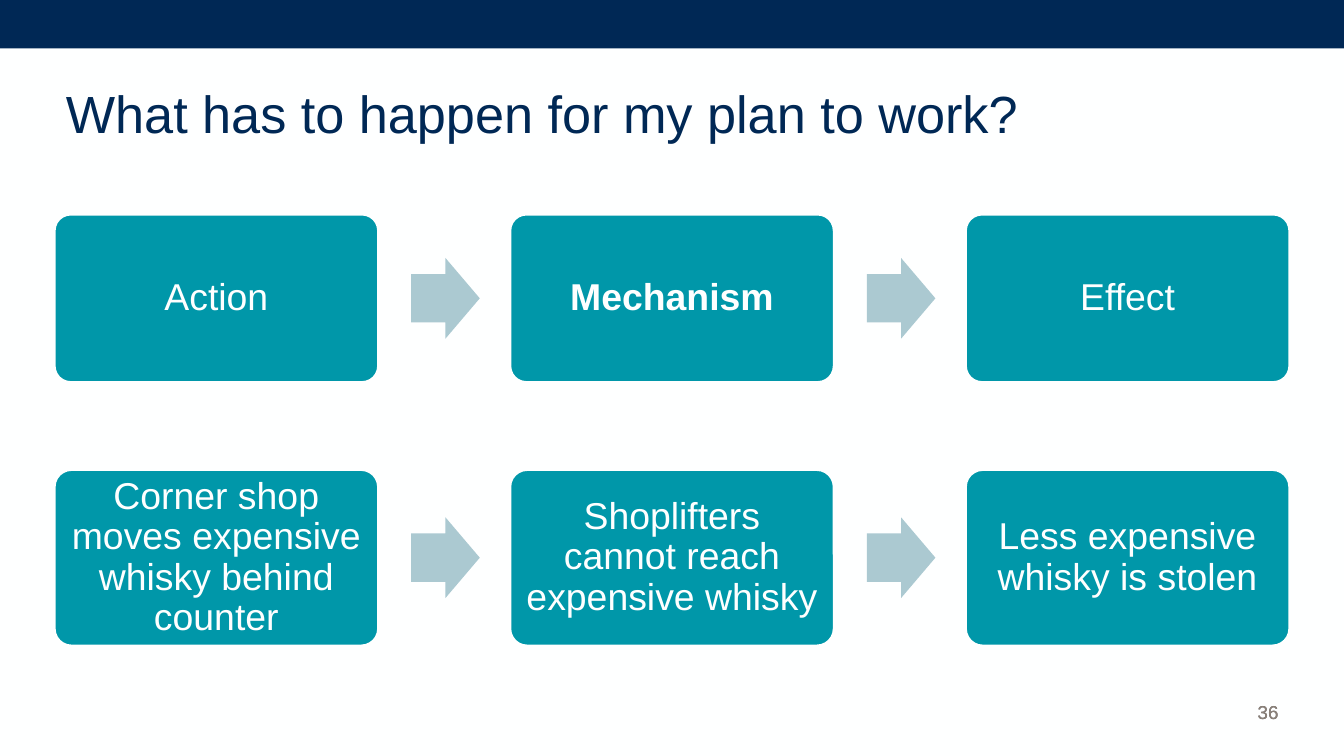
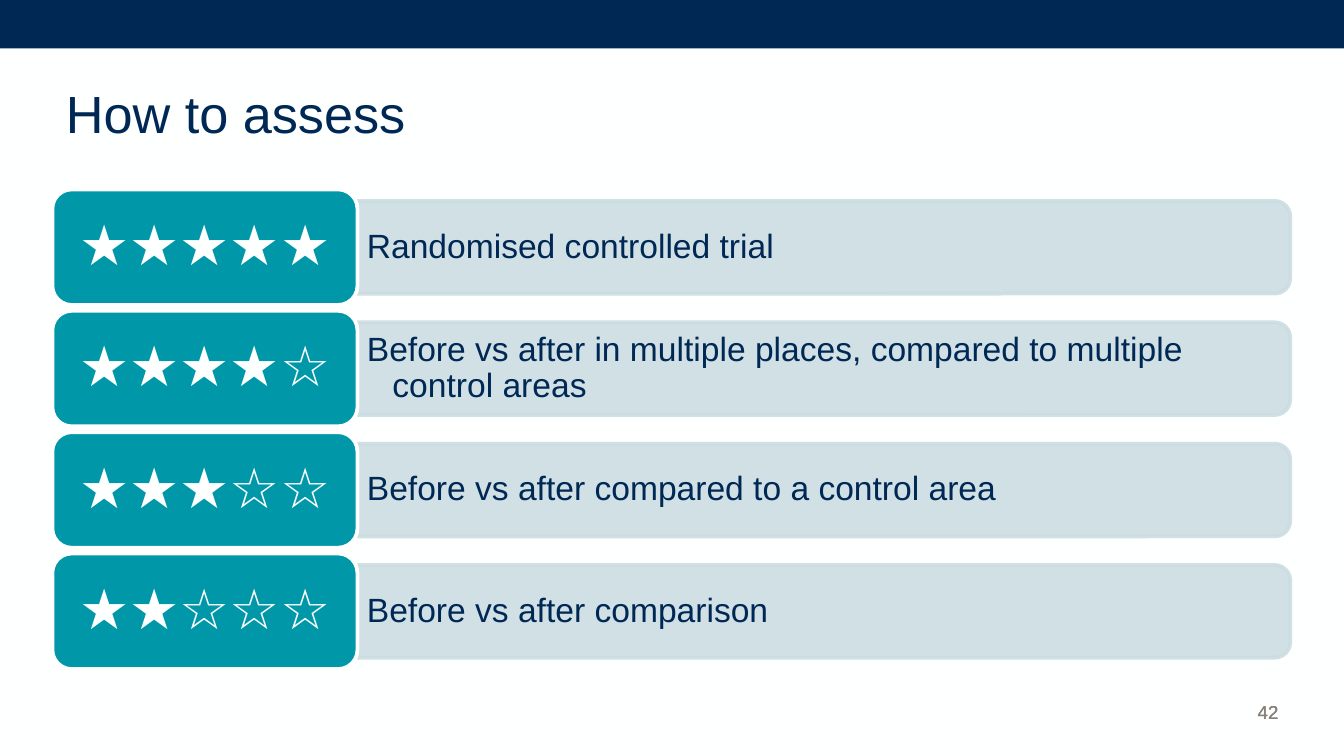
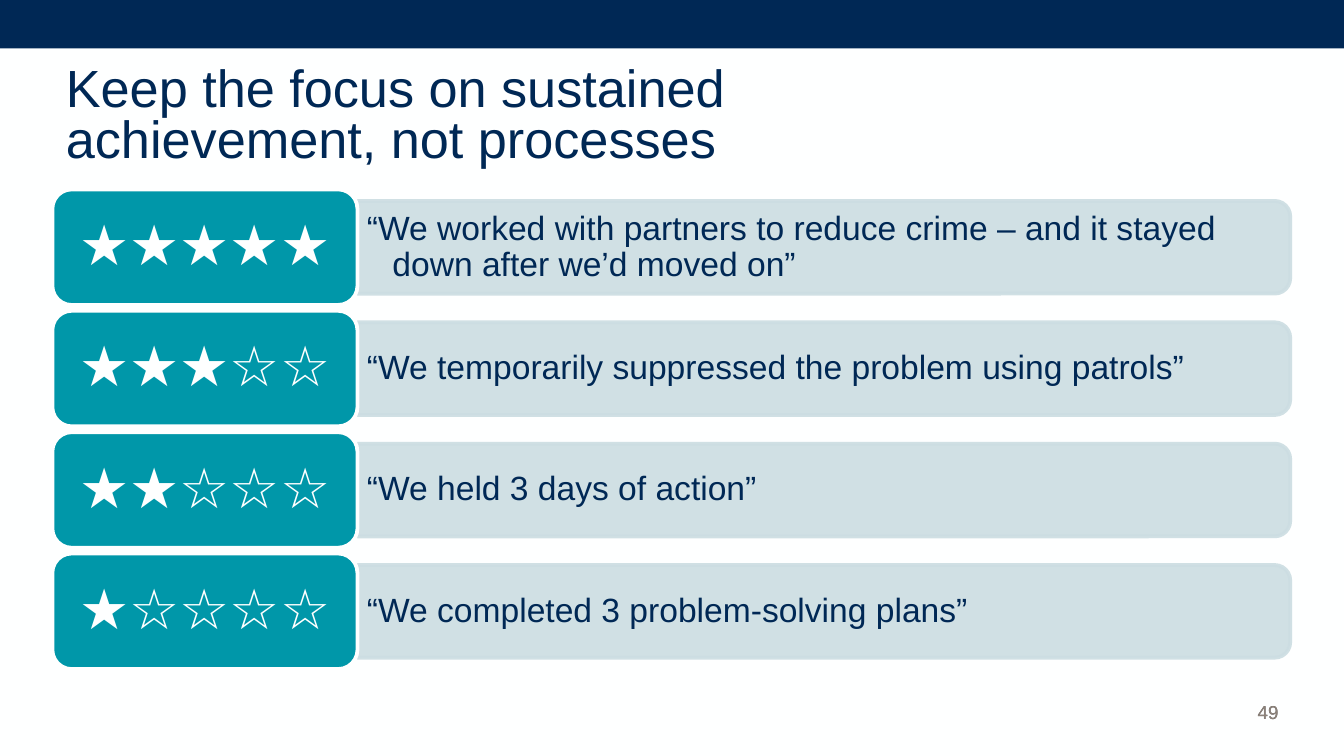
from lxml import etree
from pptx import Presentation
from pptx.dml.color import RGBColor
from pptx.enum import shapes, text
from pptx.oxml import ns
from pptx.util import Inches, Pt

FONT = "Arial"
NAVY, TEAL, WHITE = "002855", "0097A9", "FEFFFF"
ARROW, BAR = "ABC9D1", "CCDDE2"
NUMBER_INKS = ("4F4B51", "8C8279")
MARGIN = 0.4
STEP_WIDTH, STEP_PITCH = 2.42, 3.39
ARROW_GAP, ARROW_WIDTH, ARROW_HEIGHT = 0.24, 0.51, 0.6
RATING_LEFT, RATING_TOP, RATING_WIDTH, RATING_HEIGHT = 0.39, 1.41, 2.27, 0.86
RATING_PITCH = RATING_HEIGHT * 1.05
BAR_WIDTH, BAR_HEIGHT = 6.94, 0.69
STARS = 5


def color(value):
    """Turn a hex string into a colour."""
    return RGBColor.from_string(value)


def place(box, left, top, width, height):
    """Move and size a box, in inches."""
    box.left, box.top = Inches(left), Inches(top)
    box.width, box.height = Inches(width), Inches(height)


def write(box, words, size, ink, align=text.PP_ALIGN.LEFT, anchor=text.MSO_ANCHOR.MIDDLE,
          inset=(0.1, 0.05), spacing=0.9, bold=False):
    """Fill a box with one formatted paragraph."""
    frame = box.text_frame
    frame.text = words
    frame.word_wrap = True
    frame.auto_size = text.MSO_AUTO_SIZE.NONE
    frame.vertical_anchor = anchor
    frame.margin_left = frame.margin_right = Inches(inset[0])
    frame.margin_top = frame.margin_bottom = Inches(inset[1])
    para = frame.paragraphs[0]
    para.alignment = align
    para.line_spacing = spacing
    for span in para.runs:
        span.font.name, span.font.size, span.font.bold = FONT, Pt(size), bold
        span.font.color.rgb = color(ink)
    return para


def add_shape(page, kind, left, top, width, height, fill, line=None):
    """Draw a flat preset shape with an optional 2 pt outline."""
    shape = page.shapes.add_shape(kind, 0, 0, 0, 0)
    place(shape, left, top, width, height)
    shape.shadow.inherit = False
    shape.fill.solid()
    shape.fill.fore_color.rgb = color(fill)
    if line:
        shape.line.color.rgb = color(line)
        shape.line.width = Pt(2)
    else:
        shape.line.fill.background()
    return shape


def add_text(page, left, top, width, height, words, size, ink, **style):
    """Add a text box and return its paragraph."""
    box = page.shapes.add_textbox(0, 0, 0, 0)
    place(box, left, top, width, height)
    return write(box, words, size, ink, **style)


def set_opacity(shape, percent):
    """Make the fill and outline of a shape partly transparent."""
    for tint in shape.element.spPr.iter(ns.qn("a:srgbClr")):
        etree.SubElement(tint, ns.qn("a:alpha"), val=str(percent * 1000))


def add_page(deck, title, number):
    """Add a slide with the top band, the title and the layered page number."""
    page = deck.slides.add_slide(deck.slide_layouts[5])
    page.background.fill.solid()
    page.background.fill.fore_color.rgb = color(WHITE)
    add_shape(page, shapes.MSO_SHAPE.RECTANGLE, 0, 0, 10, 0.36, NAVY)
    place(page.shapes.title, 0.39, 0.39, 9.21, 0.98)
    write(page.shapes.title, title, 28, NAVY, spacing=Pt(27))
    for ink in NUMBER_INKS:
        add_text(page, 8.82, 4.99, 0.79, 0.44, str(number), 10, ink, spacing=1.0,
                 align=text.PP_ALIGN.RIGHT, anchor=text.MSO_ANCHOR.BOTTOM)
    return page


def add_flow(page, top, height, steps, strong=None):
    """Draw a row of steps with block arrows between them."""
    for index, step in enumerate(steps):
        left = MARGIN + index * STEP_PITCH
        if index:
            add_shape(page, shapes.MSO_SHAPE.RIGHT_ARROW,
                      left - STEP_PITCH + STEP_WIDTH + ARROW_GAP,
                      top + (height - ARROW_HEIGHT) / 2, ARROW_WIDTH, ARROW_HEIGHT,
                      ARROW).adjustments[0] = 0.6
        box = add_shape(page, shapes.MSO_SHAPE.ROUNDED_RECTANGLE, left, top,
                        STEP_WIDTH, height, TEAL, WHITE)
        box.adjustments[0] = 0.1
        write(box, step, 20, WHITE, align=text.PP_ALIGN.CENTER, inset=(0.08, 0.08),
              bold=step == strong)


def add_rating(page, top, score, words):
    """Draw one row: a star score and the statement it belongs to."""
    middle = top + RATING_HEIGHT / 2
    bar_left = RATING_LEFT + RATING_WIDTH
    bar = add_shape(page, shapes.MSO_SHAPE.ROUND_2_SAME_RECTANGLE,
                    bar_left + (BAR_WIDTH - BAR_HEIGHT) / 2, middle - BAR_WIDTH / 2,
                    BAR_HEIGHT, BAR_WIDTH, BAR, BAR)
    bar.rotation = 90
    set_opacity(bar, 90)
    para = add_text(page, bar_left, middle - 0.31, 6.91, 0.62, words, 18, NAVY,
                    inset=(0.07, 0.04))
    indent = Inches(0.19)
    properties = para._p.get_or_add_pPr()
    properties.set("marL", str(indent))
    properties.set("indent", str(-indent))
    badge = add_shape(page, shapes.MSO_SHAPE.ROUNDED_RECTANGLE, RATING_LEFT, top,
                      RATING_WIDTH, RATING_HEIGHT, TEAL, WHITE)
    write(badge, "★" * score + "☆" * (STARS - score), 30, WHITE,
          align=text.PP_ALIGN.CENTER, inset=(0.12, 0.06))


def add_ratings(page, ratings):
    """Stack the rating rows at an equal pitch."""
    for index, (score, words) in enumerate(ratings):
        add_rating(page, RATING_TOP + index * RATING_PITCH, score, words)


def main():
    """Build and save the deck."""
    deck = Presentation()
    deck.slide_width = Inches(10)
    deck.slide_height = Inches(10 * 9 / 16)

    page = add_page(deck, "What has to happen for my plan to work?", 36)
    add_flow(page, 1.59, 1.26, ["Action", "Mechanism", "Effect"], strong="Mechanism")
    add_flow(page, 3.49, 1.32, ["Corner shop moves expensive whisky behind counter",
                                "Shoplifters cannot reach expensive whisky",
                                "Less expensive whisky is stolen"])

    page = add_page(deck, "How to assess", 42)
    add_ratings(page, [
        (5, "Randomised controlled trial"),
        (4, "Before vs after in multiple places, compared to multiple control areas"),
        (3, "Before vs after compared to a control area"),
        (2, "Before vs after comparison"),
    ])

    page = add_page(deck, "Keep the focus on sustained \vachievement, not processes", 49)
    add_ratings(page, [
        (5, "“We worked with partners to reduce crime – and it stayed down after we’d moved on”"),
        (3, "“We temporarily suppressed the problem using patrols”"),
        (2, "“We held 3 days of action”"),
        (1, "“We completed 3 problem-solving plans”"),
    ])

    deck.save("out.pptx")


if __name__ == "__main__":
    main()
